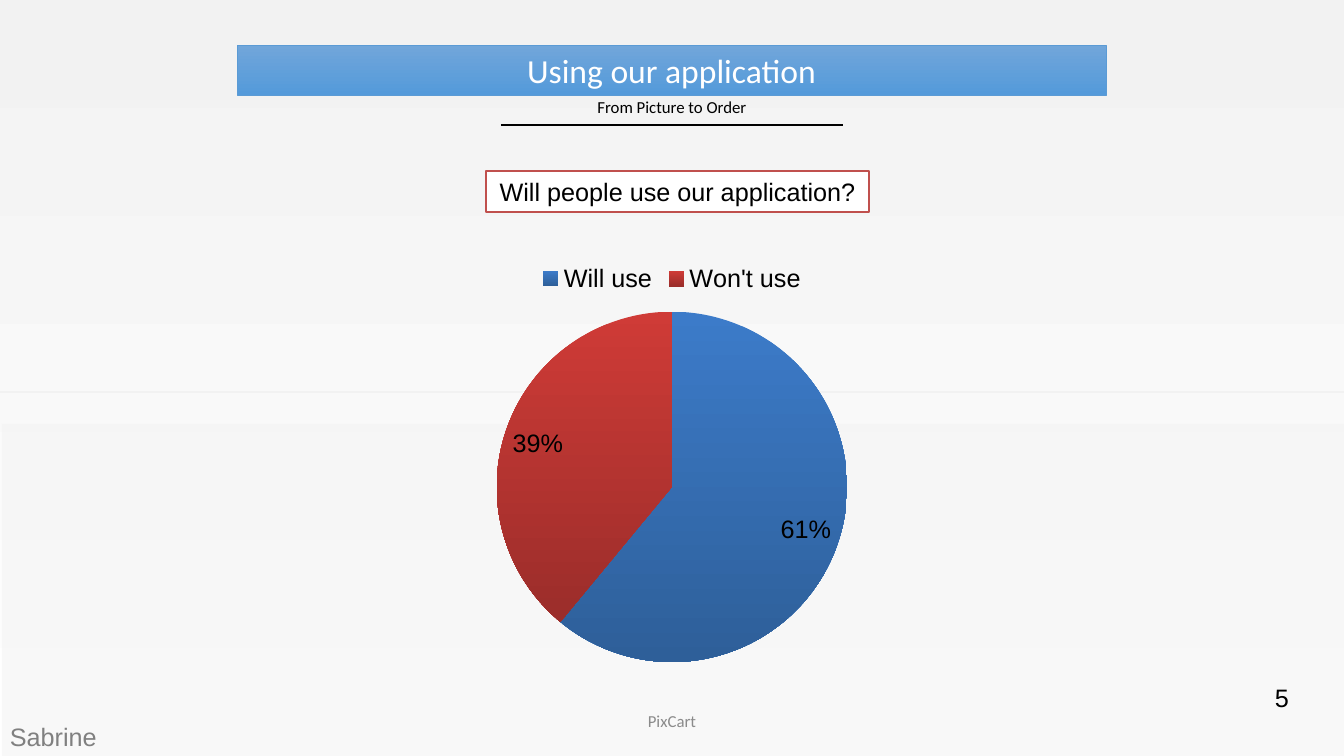
"""Build the survey slide with a pie chart of expected application use."""
import pptx
import pptx.chart.data
import pptx.dml.color
import pptx.enum.chart
import pptx.enum.shapes
import pptx.enum.text
import pptx.oxml
import pptx.oxml.ns
import pptx.util

SLIDE = (1344, 756)
PX = 914400 / 100.8
ALIGN = pptx.enum.text.PP_ALIGN
ANCHOR = pptx.enum.text.MSO_ANCHOR

BACKDROP = ((0, 0, 1344, 756), ("F2F2F2", "FFFFFF"))
LOWER_PANEL = ((2, 424, 1342, 332), "F2F2F2", 49)
RULES = [((0, 392), (1344, 392), "F2F2F2"), ((501, 125), (843, 125), "000000")]
TITLE = ("Using our application", (237, 45, 869, 50), ("71A6DA", "549ADA"), "5B9BD5")
QUESTION = ("Will people use our application?", (486, 171, 383, 41), "FFFFFF", "C0504D")
LABELS = [
    ("From Picture to Order", (237, 96, 870, 27), 12, "Calibri", "000000", ALIGN.CENTER, ANCHOR.TOP, 0.8),
    ("PixCart", (502, 701, 340, 40), 12, "Calibri", "8B8B8B", ALIGN.CENTER, ANCHOR.MIDDLE, 1.0),
    ("5", (1265, 677, 49, 40), 18, "Arial", "000000", ALIGN.LEFT, ANCHOR.TOP, 1.0),
    ("Sabrine", (0, 716, 156, 40), 18, "Arial", "808080", ALIGN.LEFT, ANCHOR.TOP, 1.0),
]
CHART_BOX = (224, 252, 896, 424)
ANSWERS = [("Will use", 61, ("3C7BC9", "2E5F99")), ("Won't use", 39, ("CF3B37", "9B2D2A"))]


def emu(values):
    return [pptx.util.Emu(round(v * PX)) for v in values]


def rgb(value):
    return pptx.dml.color.RGBColor.from_string(value)


def paint(fill, colour):
    if isinstance(colour, str):
        fill.solid()
        fill.fore_color.rgb = rgb(colour)
        return
    fill.gradient()
    fill.gradient_angle = 270
    for stop, value, position in zip(fill.gradient_stops, colour, (0, 1)):
        stop.color.rgb = rgb(value)
        stop.position = position


def add_rect(slide, box, colour, line=None, width=0.5):
    sp = slide.shapes.add_shape(pptx.enum.shapes.MSO_SHAPE.RECTANGLE, *emu(box))
    sp.shadow.inherit = False
    paint(sp.fill, colour)
    if line:
        sp.line.color.rgb = rgb(line)
        sp.line.width = pptx.util.Pt(width)
    else:
        sp.line.fill.background()
    return sp


def write(sp, text, size, font, colour, align=ALIGN.CENTER, anchor=ANCHOR.MIDDLE, spacing=1.0):
    tf = sp.text_frame
    tf.word_wrap = True
    tf.vertical_anchor = anchor
    p = tf.paragraphs[0]
    p.text = text
    p.alignment = align
    p.line_spacing = spacing
    r = p.runs[0]
    r.font.size = pptx.util.Pt(size)
    r.font.name = font
    r.font.color.rgb = rgb(colour)


def add_rule(slide, start, end, colour):
    line = slide.shapes.add_connector(pptx.enum.shapes.MSO_CONNECTOR.STRAIGHT, *emu(start + end))
    line.line.color.rgb = rgb(colour)
    line.line.width = pptx.util.Pt(1)
    effects = pptx.oxml.parse_xml("<a:effectLst %s/>" % pptx.oxml.ns.nsdecls("a"))
    line._element.spPr.append(effects)


def add_pie(slide):
    data = pptx.chart.data.CategoryChartData()
    data.categories = [name for name, _, _ in ANSWERS]
    data.add_series("Series 1", [value for _, value, _ in ANSWERS])
    kind = pptx.enum.chart.XL_CHART_TYPE.PIE
    chart = slide.shapes.add_chart(kind, *emu(CHART_BOX), data).chart
    chart.has_title = False
    chart.font.size = pptx.util.Pt(18)
    chart.font.name = "Arial"
    chart.font.color.rgb = rgb("000000")
    chart.has_legend = True
    chart.legend.position = pptx.enum.chart.XL_LEGEND_POSITION.TOP
    chart.legend.include_in_layout = False
    plot = chart.plots[0]
    plot.vary_by_categories = True
    plot.has_data_labels = True
    labels = plot.data_labels
    labels.show_value = False
    labels.show_percentage = True
    labels.number_format = "0%"
    labels.number_format_is_linked = False
    labels.position = pptx.enum.chart.XL_LABEL_POSITION.INSIDE_END
    for i, (_, _, colours) in enumerate(ANSWERS):
        paint(plot.series[0].points[i].format.fill, colours)


def main():
    prs = pptx.Presentation()
    prs.slide_width, prs.slide_height = emu(SLIDE)
    slide = prs.slides.add_slide(prs.slide_layouts[6])

    add_rect(slide, *BACKDROP)
    box, colour, opacity = LOWER_PANEL
    panel = add_rect(slide, box, colour)
    clr = panel._element.spPr.find(".//" + pptx.oxml.ns.qn("a:srgbClr"))
    alpha = '<a:alpha %s val="%d"/>' % (pptx.oxml.ns.nsdecls("a"), opacity * 1000)
    clr.append(pptx.oxml.parse_xml(alpha))

    for rule in RULES:
        add_rule(slide, *rule)
    text, *look = TITLE
    write(add_rect(slide, *look), text, 24, "Calibri", "FFFFFF")
    for text, box, *style in LABELS:
        write(slide.shapes.add_textbox(*emu(box)), text, *style)
    text, *look = QUESTION
    write(add_rect(slide, *look, width=2), text, 18, "Arial", "000000")
    add_pie(slide)
    prs.save("out.pptx")


if __name__ == "__main__":
    main()
